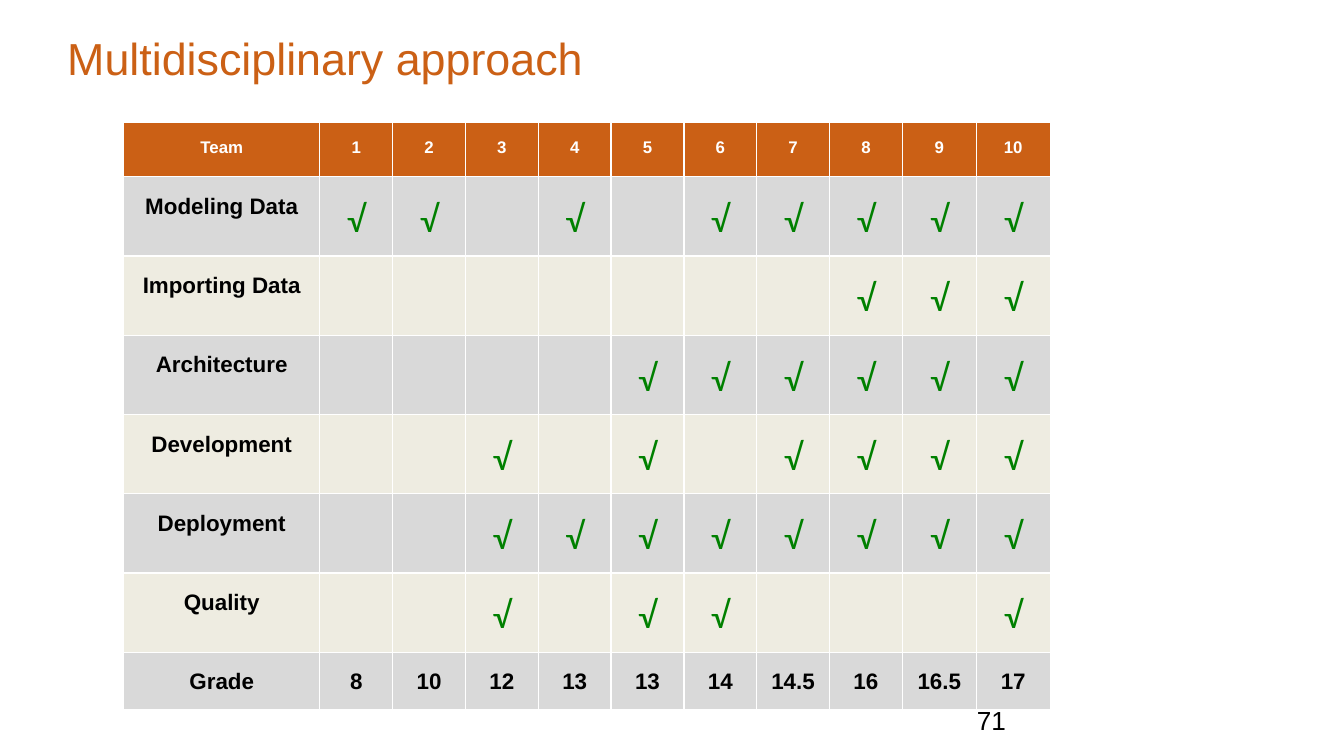
from lxml import etree
from pptx import Presentation
from pptx.dml.color import RGBColor
from pptx.enum import text
from pptx.oxml import ns
from pptx.util import Inches, Pt

ORANGE, GREY, CREAM = "CB6015", "D9D9D9", "EEECE1"
WHITE, BLACK, GREEN = "FFFFFF", "000000", "008000"
CENTER = text.PP_ALIGN.CENTER
TEAMS = range(1, 11)


def color(value):
    return RGBColor.from_string(value)


def write(frame, words, size=12, font="Arial", ink=BLACK, bold=False,
          align=text.PP_ALIGN.LEFT, spacing=None):
    para = frame.paragraphs[0]
    para.alignment = align
    para.line_spacing = spacing
    span = para.add_run()
    span.text = words
    span.font.size = Pt(size)
    span.font.name = font
    span.font.bold = bold
    span.font.color.rgb = color(ink)


class Page:
    """One slide on a grid of tenths of an inch."""

    def __init__(self, deck):
        self.slide = deck.slides.add_slide(deck.slide_layouts[5])

    def grid(self, *counts):
        return [Inches(count / 10) for count in counts]

    def title(self, words, *place):
        box = self.slide.shapes.title
        box.left, box.top, box.width, box.height = self.grid(*place)
        frame = box.text_frame
        frame.margin_left = frame.margin_right = 0
        frame.margin_top = frame.margin_bottom = 0
        frame.vertical_anchor = text.MSO_ANCHOR.TOP
        write(frame, words, size=24, ink=ORANGE)

    def number(self, words, *place):
        frame = self.slide.shapes.add_textbox(*self.grid(*place)).text_frame
        frame.word_wrap = True
        frame.vertical_anchor = text.MSO_ANCHOR.MIDDLE
        write(frame, words, size=14)

    def table(self, left, top, widths, heights):
        place = self.grid(left, top, sum(widths), sum(heights))
        table = self.slide.shapes.add_table(len(heights), len(widths), *place).table
        for column, width in zip(table.columns, self.grid(*widths)):
            column.width = width
        for row, height in zip(table.rows, self.grid(*heights)):
            row.height = height
        return table

    def cell(self, cell, fill, words, **style):
        cell.margin_left = cell.margin_right = Inches(0.1)
        cell.margin_top = cell.margin_bottom = Inches(0.1)
        properties = cell._tc.get_or_add_tcPr()
        for side in ("lnL", "lnR", "lnT", "lnB"):
            line = etree.SubElement(properties, ns.qn("a:" + side), w=str(Pt(0.75)))
            paint = etree.SubElement(line, ns.qn("a:solidFill"))
            etree.SubElement(paint, ns.qn("a:srgbClr"), val=WHITE)
        cell.fill.solid()
        cell.fill.fore_color.rgb = color(fill)
        if words:
            write(cell.text_frame, words, align=CENTER, spacing=1.15, **style)


def main():
    deck = Presentation()
    deck.slide_width = Inches(10)
    deck.slide_height = deck.slide_width * 9 // 16
    page = Page(deck)

    # Page number and title
    page.number("71", 71.7, 52.1, 23.3, 3)
    page.title("Multidisciplinary approach", 5, 2.3, 77.4, 5.4)

    # Teams that covered each discipline
    covered = {
        "Modeling Data": {1, 2, 4, 6, 7, 8, 9, 10},
        "Importing Data": {8, 9, 10},
        "Architecture": {5, 6, 7, 8, 9, 10},
        "Development": {3, 5, 7, 8, 9, 10},
        "Deployment": {3, 4, 5, 6, 7, 8, 9, 10},
        "Quality": {3, 5, 6, 10},
    }
    grades = ["8", "10", "12", "13", "13", "14", "14.5", "16", "16.5", "17"]

    # Table rows: label, values and the style of the values
    label = dict(size=12, bold=True)
    heading = dict(size=9, bold=True, ink=WHITE)
    check = dict(size=20, font="Calibri", ink=GREEN)
    rows = [("Team", [str(team) for team in TEAMS], heading)]
    for name, teams in covered.items():
        rows.append((name, ["√" if team in teams else "" for team in TEAMS], check))
    rows.append(("Grade", grades, label))

    table = page.table(9.2, 9.1, [14.6] + [5.42] * 8 + [5.5] * 2,
                       [4.05] + [5.9] * len(covered) + [4.1])
    for r, (name, values, style) in enumerate(rows):
        fill = ORANGE if r == 0 else (CREAM, GREY)[r % 2]
        page.cell(table.cell(r, 0), fill, name, **(heading if r == 0 else label))
        for c, value in enumerate(values, 1):
            page.cell(table.cell(r, c), fill, value, **style)

    deck.save("out.pptx")


if __name__ == "__main__":
    main()
